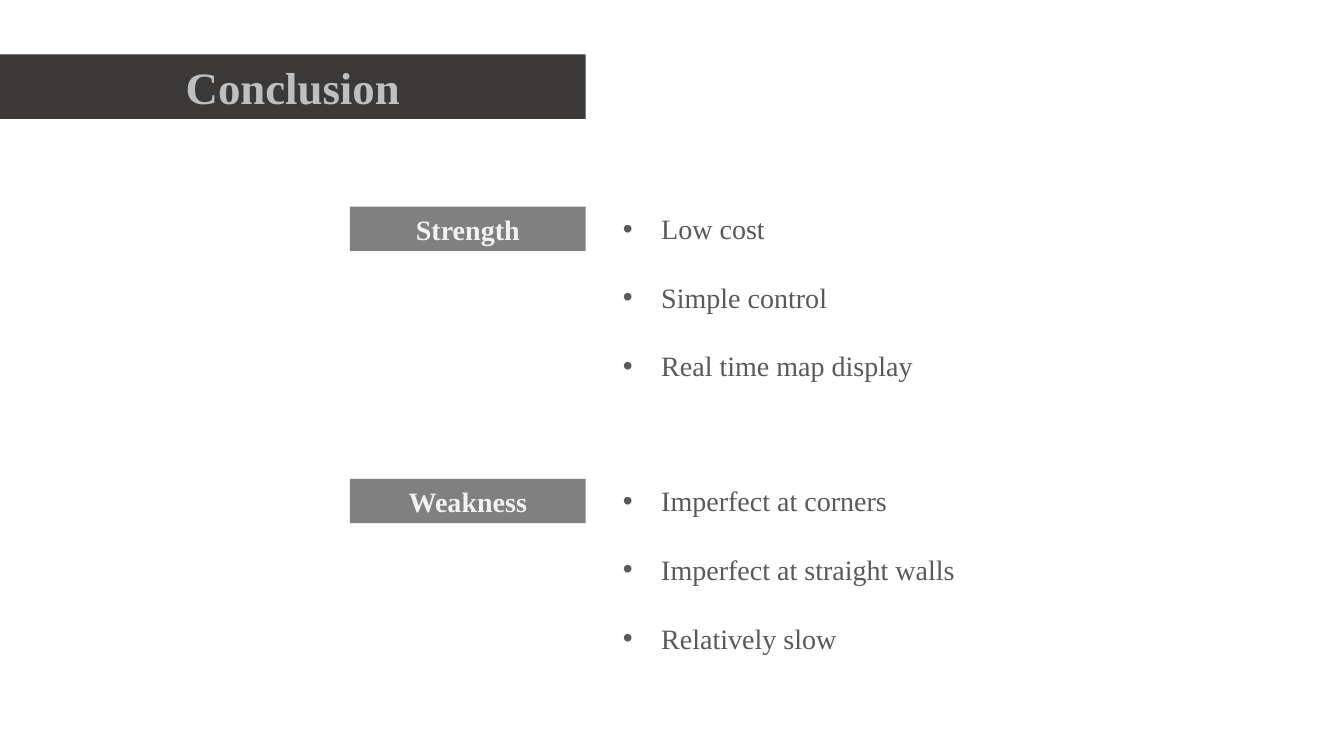
from dataclasses import dataclass

from lxml.etree import SubElement
from pptx import Presentation
from pptx.dml.color import RGBColor
from pptx.enum.shapes import MSO_SHAPE
from pptx.enum.text import MSO_ANCHOR, PP_ALIGN
from pptx.oxml.ns import qn
from pptx.util import Inches, Pt


@dataclass(frozen=True)
class Theme:
    font: str = "Times New Roman"
    title_fill: RGBColor = RGBColor(0x3B, 0x38, 0x38)
    title_text: RGBColor = RGBColor(0xBF, 0xBF, 0xBF)
    label_fill: RGBColor = RGBColor(0x80, 0x80, 0x80)
    label_text: RGBColor = RGBColor(0xF2, 0xF2, 0xF2)
    body_text: RGBColor = RGBColor(0x59, 0x59, 0x59)
    title_size: Pt = Pt(32)
    body_size: Pt = Pt(20)
    point_gap: Pt = Pt(25)


THEME = Theme()
BANNER_RIGHT = 5.81
SECTIONS = [
    ("Strength", ["Low cost", "Simple control", "Real time map display"]),
    ("Weakness", ["Imperfect at corners", "Imperfect at straight walls", "Relatively slow"]),
]
FIRST_SECTION_TOP, SECTION_PITCH = 2.05, 2.7


def add_text(paragraph, text, size, color, bold=False):
    run = paragraph.add_run()
    run.text = text
    run.font.name = THEME.font
    run.font.size = size
    run.font.bold = bold
    run.font.color.rgb = color


def add_banner(slide, text, top, width, height, fill, size, color):
    """Draw a filled bar that ends at the shared right edge."""
    banner = slide.shapes.add_shape(
        MSO_SHAPE.RECTANGLE,
        Inches(BANNER_RIGHT - width), Inches(top), Inches(width), Inches(height))
    banner.shadow.inherit = False
    banner.fill.solid()
    banner.fill.fore_color.rgb = fill
    banner.line.fill.background()
    banner.text_frame.vertical_anchor = MSO_ANCHOR.MIDDLE
    paragraph = banner.text_frame.paragraphs[0]
    paragraph.alignment = PP_ALIGN.CENTER
    add_text(paragraph, text, size, color, bold=True)


def add_bullet(paragraph):
    properties = paragraph._p.get_or_add_pPr()
    indent = Inches(0.38)
    properties.set("marL", str(indent))
    properties.set("indent", str(-indent))
    SubElement(properties, qn("a:buFont"), typeface="Arial")
    SubElement(properties, qn("a:buChar"), char="•")


def add_points(slide, points, top):
    frame = slide.shapes.add_textbox(
        Inches(6.08), Inches(top), Inches(4.83), Inches(1.78)).text_frame
    frame.word_wrap = True
    for index, point in enumerate(points):
        paragraph = frame.add_paragraph() if index else frame.paragraphs[0]
        add_bullet(paragraph)
        if index:
            paragraph.space_before = THEME.point_gap
        add_text(paragraph, point, THEME.body_size, THEME.body_text)


def main():
    presentation = Presentation()
    presentation.slide_width = Inches(13.33)
    presentation.slide_height = Inches(7.5)
    slide = presentation.slides.add_slide(presentation.slide_layouts[6])

    add_banner(slide, "Conclusion", 0.54, BANNER_RIGHT, 0.64,
               THEME.title_fill, THEME.title_size, THEME.title_text)
    for index, (label, points) in enumerate(SECTIONS):
        top = FIRST_SECTION_TOP + index * SECTION_PITCH
        add_banner(slide, label, top, 2.34, 0.44,
                   THEME.label_fill, THEME.body_size, THEME.label_text)
        add_points(slide, points, top)

    presentation.save("out.pptx")


if __name__ == "__main__":
    main()
